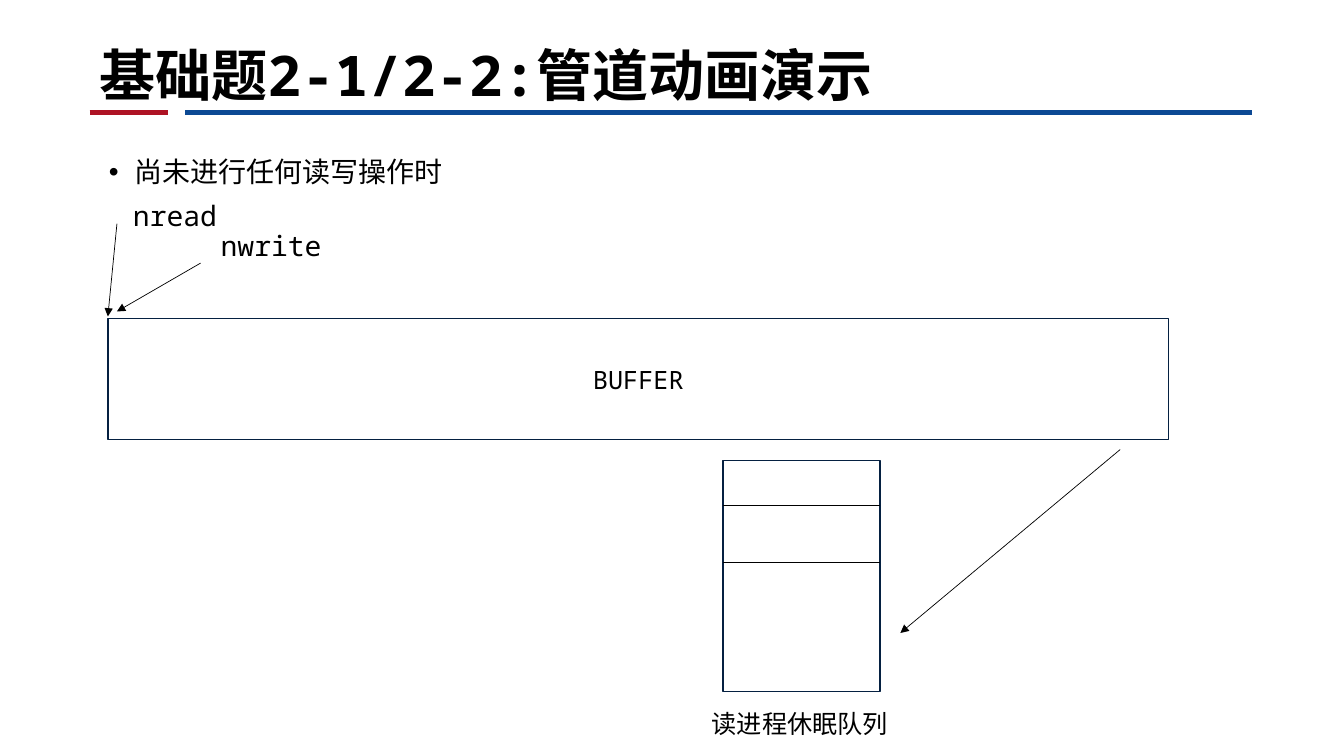
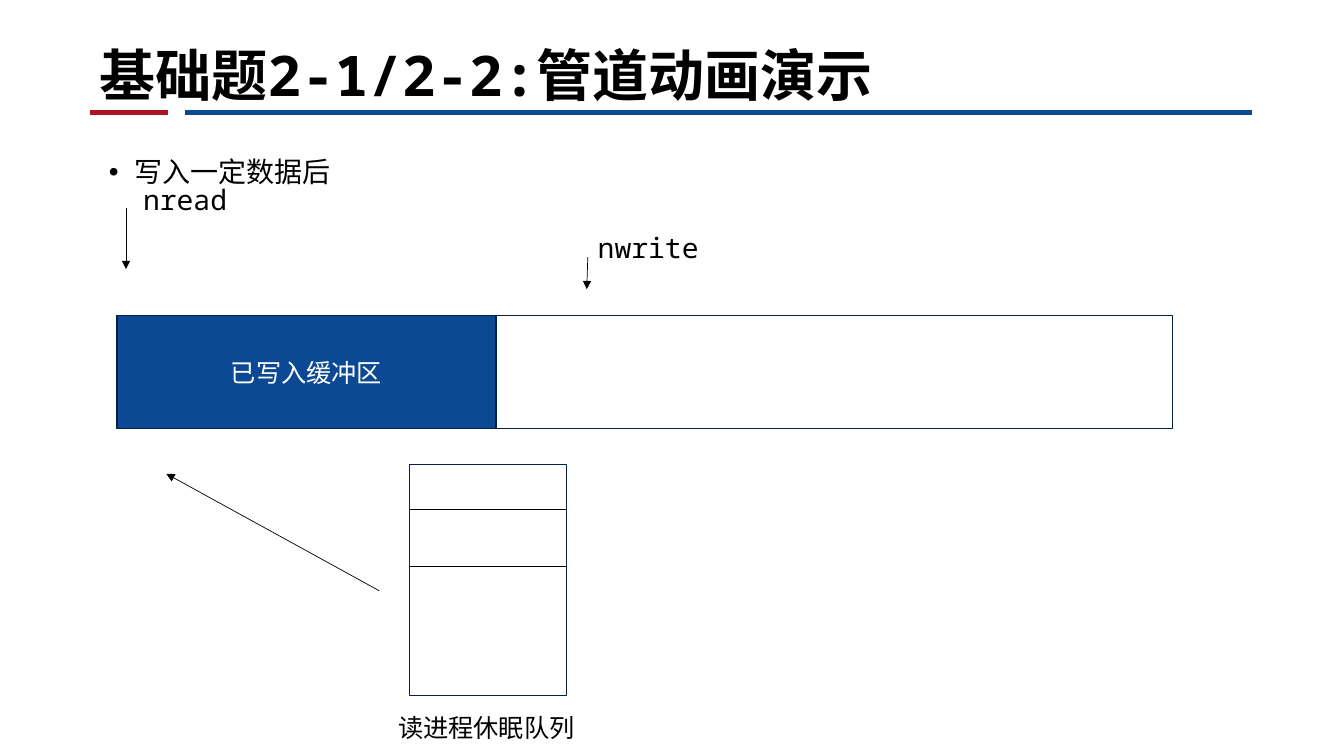
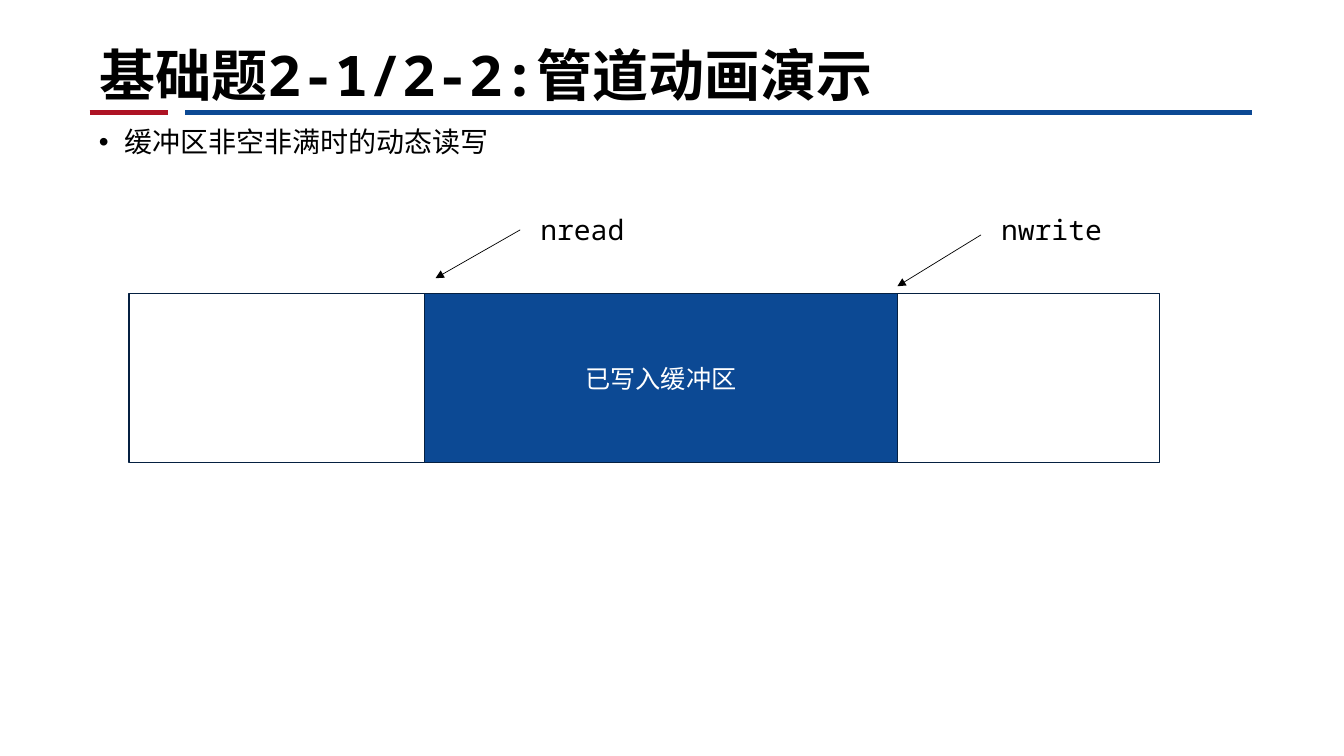
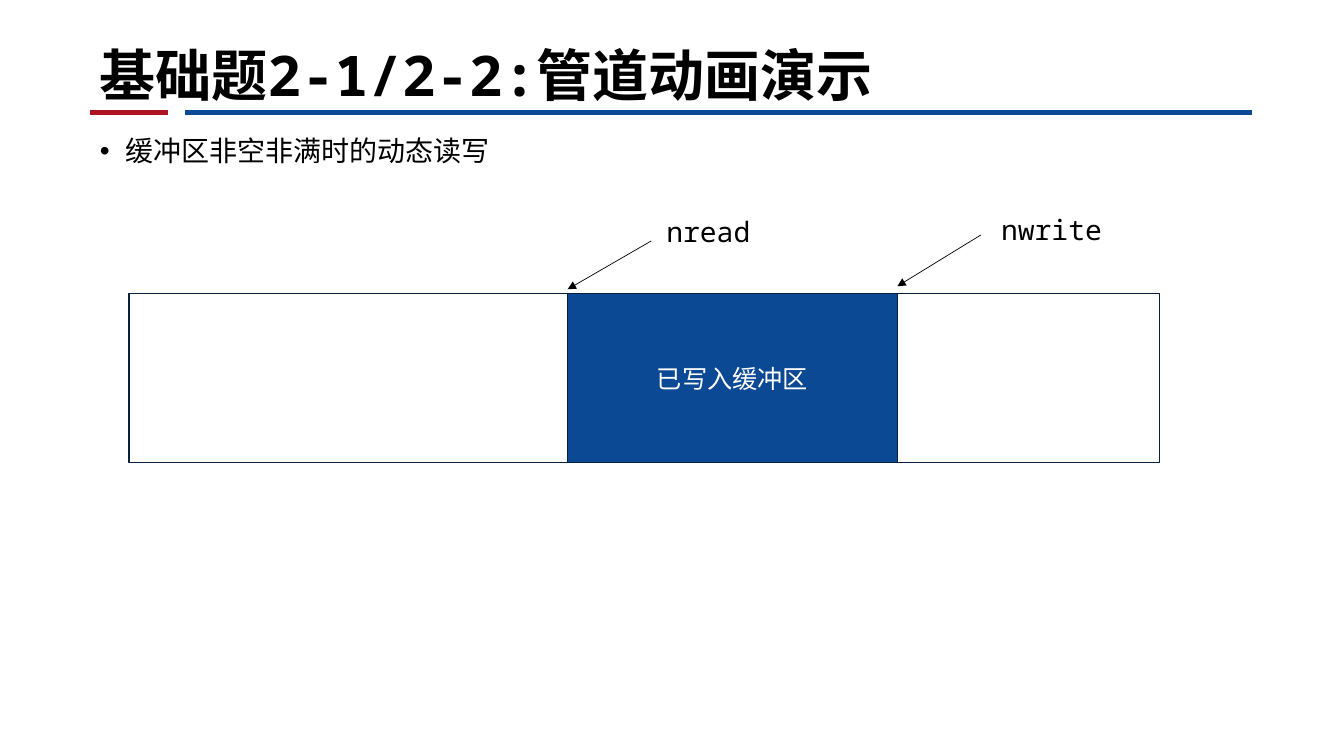
import dataclasses

import pptx
import pptx.dml.color
import pptx.enum.shapes
import pptx.enum.text
import pptx.oxml.ns
import pptx.util
from lxml import etree

PX = 9144  # EMU in one px, at 100 px to the inch


@dataclasses.dataclass(frozen=True)
class Theme:
    black: str = "000000"
    white: str = "FFFFFF"
    red: str = "AE1324"
    blue: str = "0C4994"
    outline: str = "052041"
    mono: str = "Noto Sans Mono"
    sans: str = "Arial"
    title_size: int = 40
    body_size: int = 20
    label_size: int = 18
    rule_width: float = 3.5
    box_width: float = 1
    line_width: float = 0.5


THEME = Theme()
TITLE = "基础题2-1/2-2:管道动画演示"
WRITTEN = "已写入缓冲区"
QUEUE = "读进程休眠队列"


def px(*lengths):
    return [pptx.util.Emu(length * PX) for length in lengths]


def rgb(color):
    return pptx.dml.color.RGBColor.from_string(color)


def place(shape, left, top, width, height):
    box = {"left": left, "top": top, "width": width, "height": height}
    for side, length in box.items():
        setattr(shape, side, pptx.util.Emu(length * PX))


def write(shape, text, size, font_name, color=THEME.black, bold=False, **paragraph_format):
    paragraph = shape.text_frame.paragraphs[0]
    paragraph.text = text
    for key, value in paragraph_format.items():
        setattr(paragraph, key, value)
    font = paragraph.runs[0].font
    for key, value in {"size": pptx.util.Pt(size), "name": font_name, "bold": bold}.items():
        setattr(font, key, value)
    font.color.rgb = rgb(color)


def add_line(slide, start, end, color=THEME.black, width=THEME.line_width):
    line = slide.shapes.add_connector(
        pptx.enum.shapes.MSO_CONNECTOR.STRAIGHT, *px(*start, *end))
    line.line.color.rgb = rgb(color)
    line.line.width = pptx.util.Pt(width)
    etree.SubElement(line.element.spPr, pptx.oxml.ns.qn("a:effectLst"))
    return line


def add_arrow(slide, start, end):
    arrow = add_line(slide, start, end)
    etree.SubElement(arrow.line._get_or_add_ln(), pptx.oxml.ns.qn("a:tailEnd"), type="triangle")


def add_box(slide, left, top, width, height, fill=THEME.white):
    box = slide.shapes.add_shape(
        pptx.enum.shapes.MSO_SHAPE.RECTANGLE, *px(left, top, width, height))
    box.shadow.inherit = False
    box.fill.solid()
    box.fill.fore_color.rgb = rgb(fill)
    box.line.color.rgb = rgb(THEME.outline)
    box.line.width = pptx.util.Pt(THEME.box_width)
    return box


def add_label(slide, text, box, size, font_name, wrap=True):
    label = slide.shapes.add_textbox(*px(*box))
    label.text_frame.word_wrap = wrap
    label.text_frame.auto_size = pptx.enum.text.MSO_AUTO_SIZE.SHAPE_TO_FIT_TEXT
    write(label, text, size, font_name)


def add_pointer(slide, name, label_at, start, end):
    """Label a buffer index and draw the arrow to where it stands."""
    width = {"nread": 118, "nwrite": 141}[name]
    add_label(slide, name, (*label_at, width, 44), THEME.body_size, THEME.mono)
    add_arrow(slide, start, end)


def add_buffer(slide, top, height, edges, written, font_name=THEME.sans):
    """Draw the sections between edges; the one at index written holds data."""
    for index, (left, right) in enumerate(zip(edges, edges[1:])):
        filled = index == written
        section = add_box(slide, left, top, right - left, height,
                          THEME.blue if filled else THEME.white)
        if filled:
            write(section, WRITTEN, THEME.label_size, font_name, THEME.white)


def add_queue(slide, left, top):
    width = 156
    add_box(slide, left, top, width, 229)
    for offset in (44, 101):
        add_line(slide, (left, top + offset), (left + width, top + offset))
    add_label(slide, QUEUE, (left - 21, top + 241, 197, 40),
              THEME.label_size, THEME.sans, wrap=False)


def set_up_layout(prs):
    """Place the title on the layout and drop its date, footer and number."""
    layout = prs.slide_layouts[1]
    for holder in list(layout.placeholders):
        if holder.placeholder_format.idx >= 10:
            holder.element.getparent().remove(holder.element)
        elif holder.placeholder_format.idx == 0:
            place(holder, 89, 0, 1153, 112)
            holder.text_frame.vertical_anchor = pptx.enum.text.MSO_ANCHOR.BOTTOM
            holder.text_frame.auto_size = pptx.enum.text.MSO_AUTO_SIZE.NONE
    return layout


def add_title_rules(slide):
    """Draw the two rules once and hand them to the layout for all slides."""
    rules = [add_line(slide, (left, 112), (right, 112), color, THEME.rule_width)
             for left, right, color in ((89, 167, THEME.red), (184, 1242, THEME.blue))]
    for rule in rules:
        slide.slide_layout.shapes.element.append(rule.element)


def add_slide(prs, layout, point, point_at):
    slide = prs.slides.add_slide(layout)
    left_aligned = pptx.enum.text.PP_ALIGN.LEFT
    write(slide.shapes.title, TITLE, THEME.title_size, THEME.mono, bold=True,
          alignment=left_aligned)
    body = slide.placeholders[1]
    place(body, *point_at, 555, 41)
    body.text_frame.auto_size = pptx.enum.text.MSO_AUTO_SIZE.NONE
    write(body, point, THEME.body_size, THEME.sans, alignment=left_aligned,
          line_spacing=0.9, space_before=pptx.util.Pt(0))
    indent = 25 * PX
    properties = body.text_frame.paragraphs[0]._p.get_or_add_pPr()
    for key, value in {"marL": indent, "indent": -indent}.items():
        properties.set(key, str(value))
    return slide


def build_empty(prs, layout):
    slide = add_slide(prs, layout, "尚未进行任何读写操作时", (98, 152))
    add_title_rules(slide)
    buffer = add_box(slide, 107, 316, 1052, 120)
    write(buffer, "BUFFER", THEME.label_size, THEME.mono)
    add_pointer(slide, "nread", (122, 192), (116, 222), (107, 314))
    add_pointer(slide, "nwrite", (209, 222), (199, 261), (116, 309))
    add_queue(slide, 717, 457)
    add_arrow(slide, (1111, 446), (893, 628))


def build_written(prs, layout):
    slide = add_slide(prs, layout, "写入一定数据后", (98, 152))
    add_buffer(slide, 313, 112, (116, 492, 1163), 0, THEME.mono)
    add_pointer(slide, "nread", (132, 176), (125, 206), (125, 267))
    add_pointer(slide, "nwrite", (583, 224), (583, 255), (582, 287))
    add_queue(slide, 406, 461)
    add_arrow(slide, (376, 586), (165, 470))


def build_moving(prs, layout, point_at, read_edge, read_label, read_start, read_end):
    slide = add_slide(prs, layout, "缓冲区非空非满时的动态读写", point_at)
    add_buffer(slide, 291, 168, (128, read_edge, 890, 1150), 1)
    add_pointer(slide, "nread", read_label, read_start, read_end)
    add_pointer(slide, "nwrite", (983, 206), (973, 233), (890, 284))


def main():
    prs = pptx.Presentation()
    prs.slide_width, prs.slide_height = px(1333, 750)
    layout = set_up_layout(prs)
    build_empty(prs, layout)
    build_written(prs, layout)
    build_moving(prs, layout, (88, 122), 421, (526, 206), (516, 228), (432, 276))
    build_moving(prs, layout, (89, 131), 563, (651, 208), (646, 239), (563, 287))
    prs.save("out.pptx")


if __name__ == "__main__":
    main()
